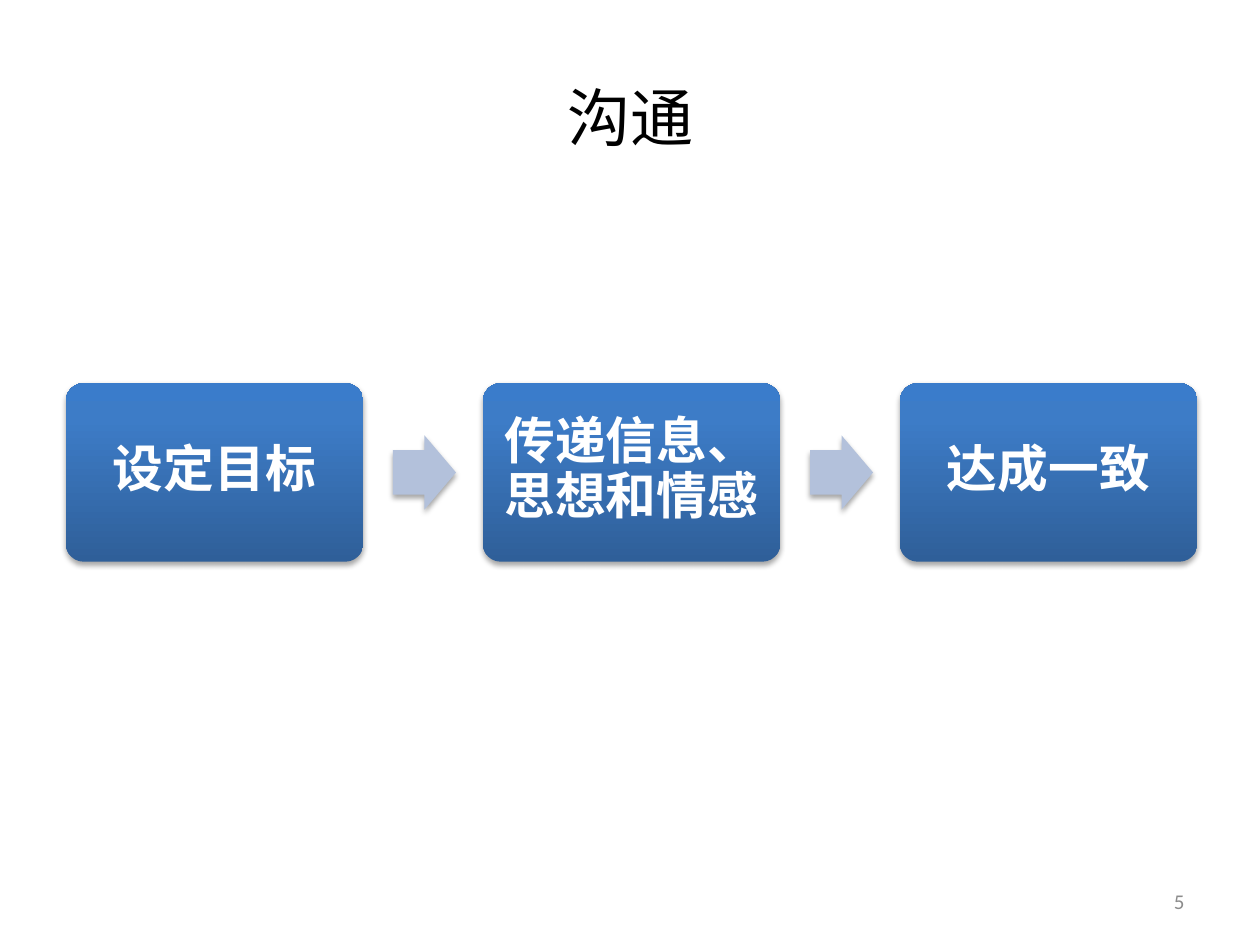
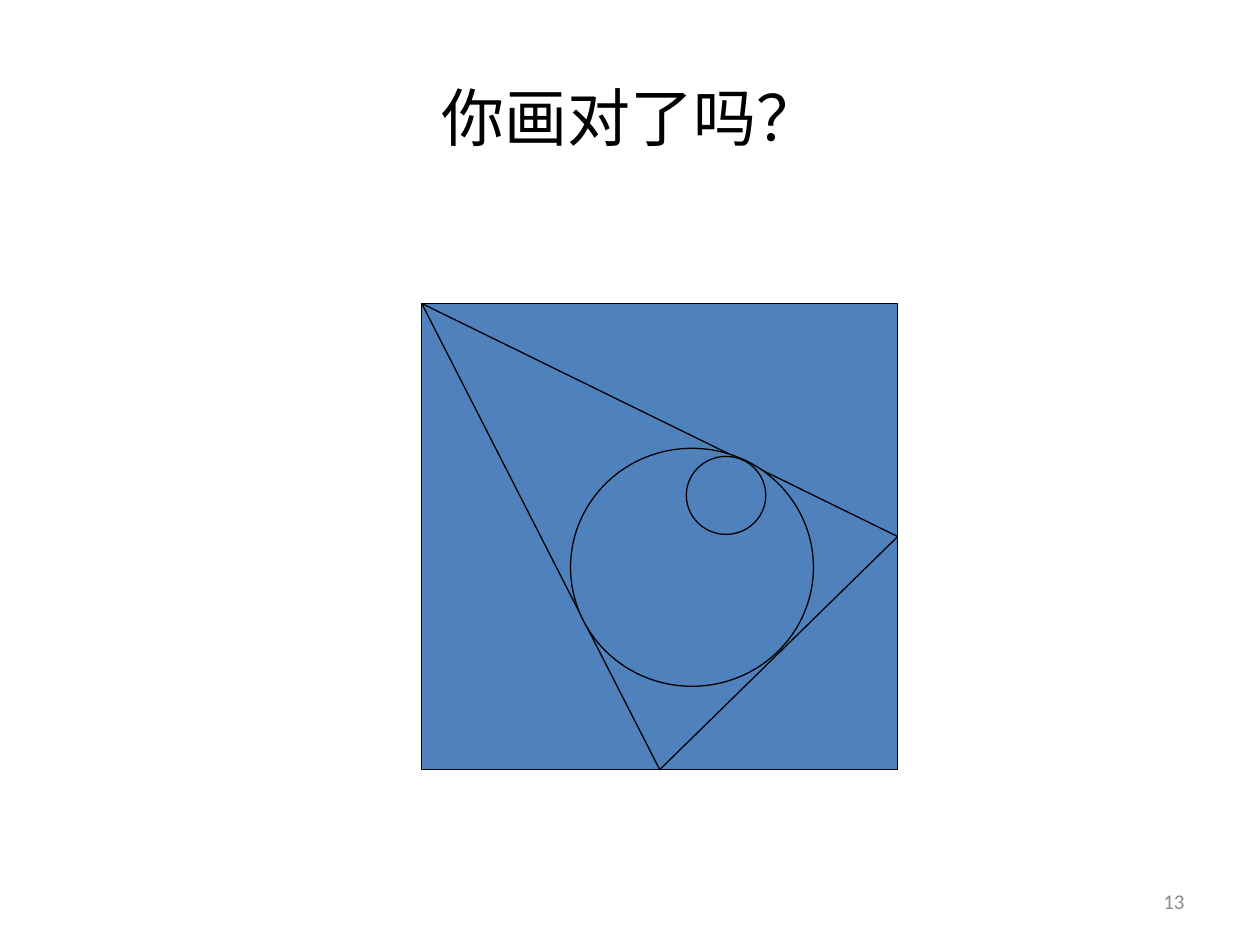
from copy import deepcopy
from dataclasses import dataclass

from lxml import etree
from pptx import Presentation
from pptx.dml.color import RGBColor
from pptx.enum.shapes import MSO_CONNECTOR, MSO_SHAPE
from pptx.enum.text import MSO_ANCHOR, PP_ALIGN
from pptx.oxml.ns import qn
from pptx.util import Pt

STRAIGHT = MSO_CONNECTOR.STRAIGHT
ROUNDED, ARROW = MSO_SHAPE.ROUNDED_RECTANGLE, MSO_SHAPE.RIGHT_ARROW
RECTANGLE, OVAL = MSO_SHAPE.RECTANGLE, MSO_SHAPE.OVAL
MIDDLE = MSO_ANCHOR.MIDDLE
CENTER, RIGHT = PP_ALIGN.CENTER, PP_ALIGN.RIGHT
BOTTOM_SIDE, RIGHT_SIDE = 2, 3
TITLE_ONLY = 5


@dataclass(frozen=True)
class Theme:
    cjk_font: str = "Noto Sans CJK SC"
    latin_font: str = "Calibri"
    title_size: int = 36
    step_size: int = 29
    number_size: int = 12
    ink: str = "000000"
    step_text: str = "FFFFFF"
    number: str = "8C8C8C"
    arrow: str = "B3C1DB"
    figure: str = "4F81BD"
    step_gradient: tuple = ((0, "2F5F99"), (0.8, "3D7CC7"), (1, "3A7CCB"))
    line_width: float = 0.75


THEME = Theme()


def rgb(value):
    return RGBColor.from_string(value)


def style_paragraph(paragraph, font_name, size, color, align, bold=False):
    paragraph.alignment = align
    font = paragraph.font
    font.size, font.bold = Pt(size), bold
    font.color.rgb = rgb(color)
    font.name = font_name
    defaults = paragraph._p.get_or_add_pPr().find(qn("a:defRPr"))
    east_asian = etree.SubElement(defaults, qn("a:ea"))
    east_asian.set("typeface", font_name)


def add_slide(prs, title_text, number):
    slide = prs.slides.add_slide(prs.slide_layouts[TITLE_ONLY])
    title = slide.shapes.title
    title.left, title.top, title.width, title.height = Pt(36), Pt(21.6), Pt(648), Pt(90)
    title.text_frame.text = title_text
    title.text_frame.vertical_anchor = MIDDLE
    style_paragraph(title.text_frame.paragraphs[0], THEME.cjk_font,
                    THEME.title_size, THEME.ink, CENTER)

    number_box = slide.shapes.add_textbox(Pt(516), Pt(500.5), Pt(168), Pt(28.8))
    frame = number_box.text_frame
    frame.word_wrap = True
    frame.vertical_anchor = MIDDLE
    frame.text = str(number)
    style_paragraph(frame.paragraphs[0], THEME.latin_font,
                    THEME.number_size, THEME.number, RIGHT)
    return slide


def add_soft_shadow(shape):
    shape.shadow.inherit = False
    effects = shape._element.spPr.find(qn("a:effectLst"))
    shadow = etree.SubElement(effects, qn("a:outerShdw"), blurRad=str(Pt(3.1)),
                              dist=str(Pt(1.8)), dir="5400000", rotWithShape="0")
    color = etree.SubElement(shadow, qn("a:srgbClr"), val="000000")
    etree.SubElement(color, qn("a:alpha"), val="35000")


def fill_gradient(shape, stops):
    """Fill from bottom to top with three (position, colour) stops."""
    shape.fill.gradient()
    shape.fill.gradient_angle = 90
    stop_list = shape._element.spPr.find(".//" + qn("a:gsLst"))
    stop_list.append(deepcopy(stop_list[-1]))
    for stop, (position, color) in zip(shape.fill.gradient_stops, stops):
        stop.position = position
        stop.color.rgb = rgb(color)


def add_step(slide, text, left, top, width, height):
    step = slide.shapes.add_shape(ROUNDED, Pt(left), Pt(top), Pt(width), Pt(height))
    step.adjustments[0] = 0.1
    fill_gradient(step, THEME.step_gradient)
    step.line.fill.background()
    add_soft_shadow(step)
    frame = step.text_frame
    frame.word_wrap = True
    frame.vertical_anchor = MIDDLE
    frame.margin_left = frame.margin_right = Pt(8)
    frame.margin_top, frame.margin_bottom = Pt(5), Pt(7)
    frame.text = text
    paragraph = frame.paragraphs[0]
    paragraph.line_spacing = 0.9
    style_paragraph(paragraph, THEME.cjk_font, THEME.step_size,
                    THEME.step_text, CENTER, bold=True)


def add_flow_arrow(slide, left, top, width, height):
    arrow = slide.shapes.add_shape(ARROW, Pt(left), Pt(top), Pt(width), Pt(height))
    arrow.adjustments[0], arrow.adjustments[1] = 0.6, 0.5
    arrow.fill.solid()
    arrow.fill.fore_color.rgb = rgb(THEME.arrow)
    arrow.line.fill.background()
    add_soft_shadow(arrow)


def add_flow(slide, steps):
    """Lay out steps in a row about the slide's middle, with arrows between."""
    left, middle, pitch = 37.6, 270, 238.3
    step_width, step_height = 170, 102
    arrow_width, arrow_height, arrow_gap = 36, 42.4, 17
    for index, text in enumerate(steps):
        step_left = left + index * pitch
        if index:
            add_flow_arrow(slide, step_left - pitch + step_width + arrow_gap,
                           middle - arrow_height / 2, arrow_width, arrow_height)
        add_step(slide, text, step_left, middle - step_height / 2,
                 step_width, step_height)


def outline(line):
    line.color.rgb = rgb(THEME.ink)
    line.width = Pt(THEME.line_width)


def add_figure_part(slide, kind, left, top, width, height):
    part = slide.shapes.add_shape(kind, Pt(left), Pt(top), Pt(width), Pt(height))
    part.shadow.inherit = False
    part.fill.solid()
    part.fill.fore_color.rgb = rgb(THEME.figure)
    outline(part.line)
    return part


def add_triangle_side(slide, start, end):
    side = slide.shapes.add_connector(STRAIGHT, *map(Pt, start + end))
    outline(side.line)
    etree.SubElement(side._element.spPr, qn("a:effectLst"))
    return side


def add_geometry_figure(slide):
    left, top, width, height = 241, 173.4, 272, 266.4
    corner = (left, top)
    right_middle = (left + width, top + height / 2)
    bottom_middle = (left + width / 2, top + height)

    square = add_figure_part(slide, RECTANGLE, left, top, width, height)
    upper_side = add_triangle_side(slide, corner, right_middle)
    upper_side.end_connect(square, RIGHT_SIDE)
    left_side = add_triangle_side(slide, corner, bottom_middle)
    left_side.end_connect(square, BOTTOM_SIDE)
    add_figure_part(slide, OVAL, 326, 256.2, 138.8, 136)
    add_figure_part(slide, OVAL, 392.2, 260.8, 45.4, 44.6)
    lower_side = add_triangle_side(slide, bottom_middle, right_middle)
    lower_side.begin_connect(square, BOTTOM_SIDE)
    lower_side.end_connect(square, RIGHT_SIDE)


def main():
    prs = Presentation()
    prs.slide_width, prs.slide_height = Pt(720), Pt(540)
    add_flow(add_slide(prs, "沟通", 5), ["设定目标", "传递信息、思想和情感", "达成一致"])
    add_geometry_figure(add_slide(prs, "你画对了吗？", 13))
    prs.save("out.pptx")


if __name__ == "__main__":
    main()
